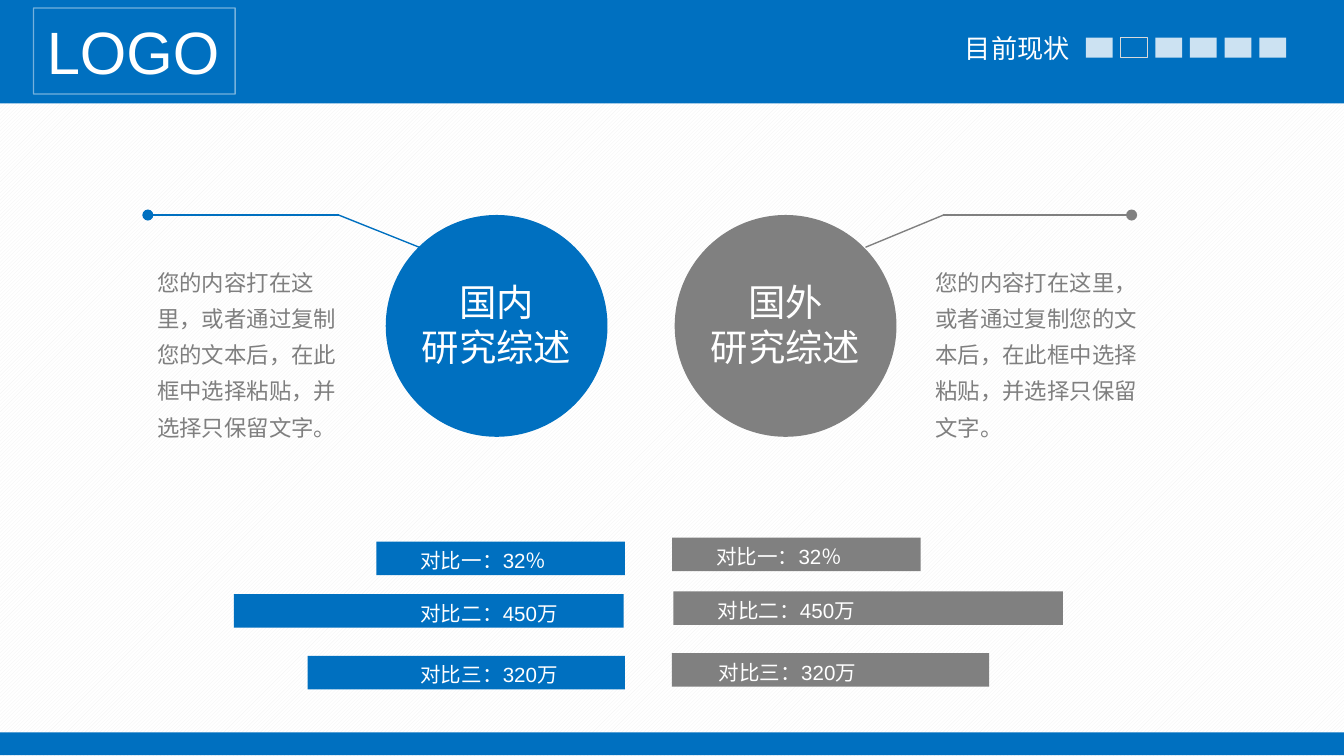
"""Builds a research status slide comparing domestic and foreign reviews."""
from dataclasses import dataclass

import pptx
import pptx.dml.color
import pptx.enum.dml
import pptx.enum.shapes
import pptx.enum.text
import pptx.oxml.ns
import pptx.util
from lxml import etree

RGBColor = pptx.dml.color.RGBColor
Inches = pptx.util.Inches
Pt = pptx.util.Pt
SHAPE = pptx.enum.shapes.MSO_SHAPE
ALIGN = pptx.enum.text.PP_ALIGN
qn = pptx.oxml.ns.qn

BLUE = RGBColor(0x00, 0x70, 0xC0)
GREY = RGBColor(0x80, 0x80, 0x80)
BODY_GREY = RGBColor(0x7F, 0x7F, 0x7F)
FRAME_GREY = RGBColor(0xD9, 0xD9, 0xD9)
HATCH = RGBColor(0xF2, 0xF2, 0xF2)
WHITE = RGBColor(0xFF, 0xFF, 0xFF)

LATIN, CJK = "Arial", "Noto Sans CJK SC"
BODY = "您的内容打在这里，或者通过复制您的文本后，在此框中选择粘贴，并选择只保留文字。"
LABELS = ("对比一：32％", "对比二：450万", "对比三：320万")
LABEL_WIDTHS = (1.17, 1.26, 1.26)
BAR_WIDTHS = (1.85, 2.9, 2.36)
STEPS, CURRENT_STEP = 6, 1
FIRST_STEP_X, LAST_STEP_X = 8.08, 9.37


@dataclass
class Box:
    x: float
    y: float
    w: float
    h: float

    def emu(self) -> tuple:
        return tuple(Inches(v) for v in (self.x, self.y, self.w, self.h))


@dataclass
class Side:
    name: str
    color: RGBColor
    circle_x: float
    elbow_x: float
    dot_x: float
    rim_x: float
    body: Box
    bar_xs: tuple
    bar_ys: tuple
    label_xs: tuple


SIDES = (
    Side("国内", BLUE, 2.87, 2.52, 1.1, 3.12, Box(1.1, 1.89, 1.54, 1.44),
         (2.8, 1.74, 2.29), (4.03, 4.42, 4.88), (3.03, 3.03, 3.03)),
    Side("国外", GREY, 5.02, 7.02, 8.42, 6.44, Box(6.89, 1.89, 1.65, 1.44),
         (5, 5.01, 5), (4, 4.4, 4.86), (5.23, 5.24, 5.25)),
)


def set_alpha(fill_parent, percent: int) -> None:
    clr = next(fill_parent.iter(qn("a:srgbClr")))
    etree.SubElement(clr, qn("a:alpha"), val=str(percent * 1000))


def add_block(s, box: Box, fill=None, line=None, width: float = 0.75, kind=SHAPE.RECTANGLE):
    sp = s.shapes.add_shape(kind, *box.emu())
    sp.shadow.inherit = False
    if fill is None:
        sp.fill.background()
    else:
        sp.fill.solid()
        sp.fill.fore_color.rgb = fill
    if line is None:
        sp.line.fill.background()
    else:
        sp.line.color.rgb = line
        sp.line.width = Pt(width)
    return sp


def write(sp, lines: tuple, size: float, color: RGBColor = WHITE, align=ALIGN.LEFT,
          inset: tuple = (0.1, 0.05), wrap: bool = False, spacing: float = 1.0,
          latin: str = LATIN) -> None:
    tf = sp.text_frame
    tf.word_wrap = wrap
    tf.auto_size = pptx.enum.text.MSO_AUTO_SIZE.NONE
    tf.vertical_anchor = pptx.enum.text.MSO_ANCHOR.TOP
    tf.margin_left = tf.margin_right = Inches(inset[0])
    tf.margin_top = tf.margin_bottom = Inches(inset[1])
    tf.text = "\n".join(lines)
    for p in tf.paragraphs:
        p.alignment = align
        p.line_spacing = spacing
        p.space_before = Pt(0)
        p.font.size = Pt(size)
        p.font.color.rgb = color
        p.font.name = latin
        p._p.pPr.set("hangingPunct", "0")
        etree.SubElement(p._p.pPr.find(qn("a:defRPr")), qn("a:ea"), typeface=CJK)


def add_text(s, box: Box, lines: tuple, size: float, **style) -> None:
    write(s.shapes.add_textbox(*box.emu()), lines, size, **style)


def add_line(s, start: tuple, end: tuple, color: RGBColor, dot: bool = False) -> None:
    cx = s.shapes.add_connector(pptx.enum.shapes.MSO_CONNECTOR.STRAIGHT,
                                *(Inches(v) for v in start + end))
    cx.line.color.rgb = color
    cx.line.width = Pt(0.75)
    sp_pr = cx._element.spPr
    if dot:
        etree.SubElement(sp_pr.find(qn("a:ln")), qn("a:tailEnd"), type="oval")
    etree.SubElement(sp_pr, qn("a:effectLst"))


def add_header(s) -> None:
    add_block(s, Box(0, 0, 10, 0.77), BLUE)
    add_block(s, Box(0, 5.45, 10, 0.17), BLUE)
    title = s.shapes.title
    title.left, title.top, title.width, title.height = Box(7.08, 0.19, 1, 0.34).emu()
    title._element.getparent().append(title._element)
    write(title, ("目前现状",), 14, latin=CJK)
    pitch = (LAST_STEP_X - FIRST_STEP_X) / (STEPS - 1)
    for i in range(STEPS):
        box = Box(FIRST_STEP_X + pitch * i, 0.28, 0.2, 0.15)
        if i == CURRENT_STEP:
            add_block(s, box, line=FRAME_GREY, width=0.5)
        else:
            set_alpha(add_block(s, box, WHITE)._element.spPr, 80)


def add_logo(s) -> None:
    logo = add_block(s, Box(0.25, 0.06, 1.5, 0.64), line=WHITE)
    set_alpha(logo._element.spPr.find(qn("a:ln")), 46)
    write(logo, ("LOGO",), 32)


def add_side(s, side: Side) -> None:
    for x, y, w in zip(side.bar_xs, side.bar_ys, BAR_WIDTHS):
        add_block(s, Box(x, y, w, 0.25), side.color)
    for x, y, w, label in zip(side.label_xs, side.bar_ys, LABEL_WIDTHS, LABELS):
        add_text(s, Box(x, y, w, 0.29), (label,), 11)
    add_block(s, Box(side.circle_x, 1.6, 1.65, 1.65), side.color, kind=SHAPE.FLOWCHART_CONNECTOR)
    add_text(s, Box(side.circle_x + 0.19, 2.04, 1.27, 0.75), (side.name, "研究综述"), 20,
             align=ALIGN.CENTER, inset=(0.07, 0.04))
    elbow = (side.elbow_x, 1.6)
    add_line(s, elbow, (side.dot_x, 1.6), side.color, dot=True)
    add_line(s, elbow, (side.rim_x, 1.84), side.color)
    add_text(s, side.body, (BODY,), 12, color=BODY_GREY, inset=(0.07, 0.04),
             wrap=True, spacing=1.35)


def main() -> None:
    prs = pptx.Presentation()
    prs.slide_width = Inches(10)
    prs.slide_height = prs.slide_width * 9 // 16
    s = prs.slides.add_slide(prs.slide_layouts[5])
    fill = s.background.fill
    fill.patterned()
    fill.pattern = pptx.enum.dml.MSO_PATTERN.LIGHT_UPWARD_DIAGONAL
    fill.fore_color.rgb = HATCH
    fill.back_color.rgb = WHITE
    add_header(s)
    add_logo(s)
    for side in SIDES:
        add_side(s, side)
    prs.save("out.pptx")


if __name__ == "__main__":
    main()
